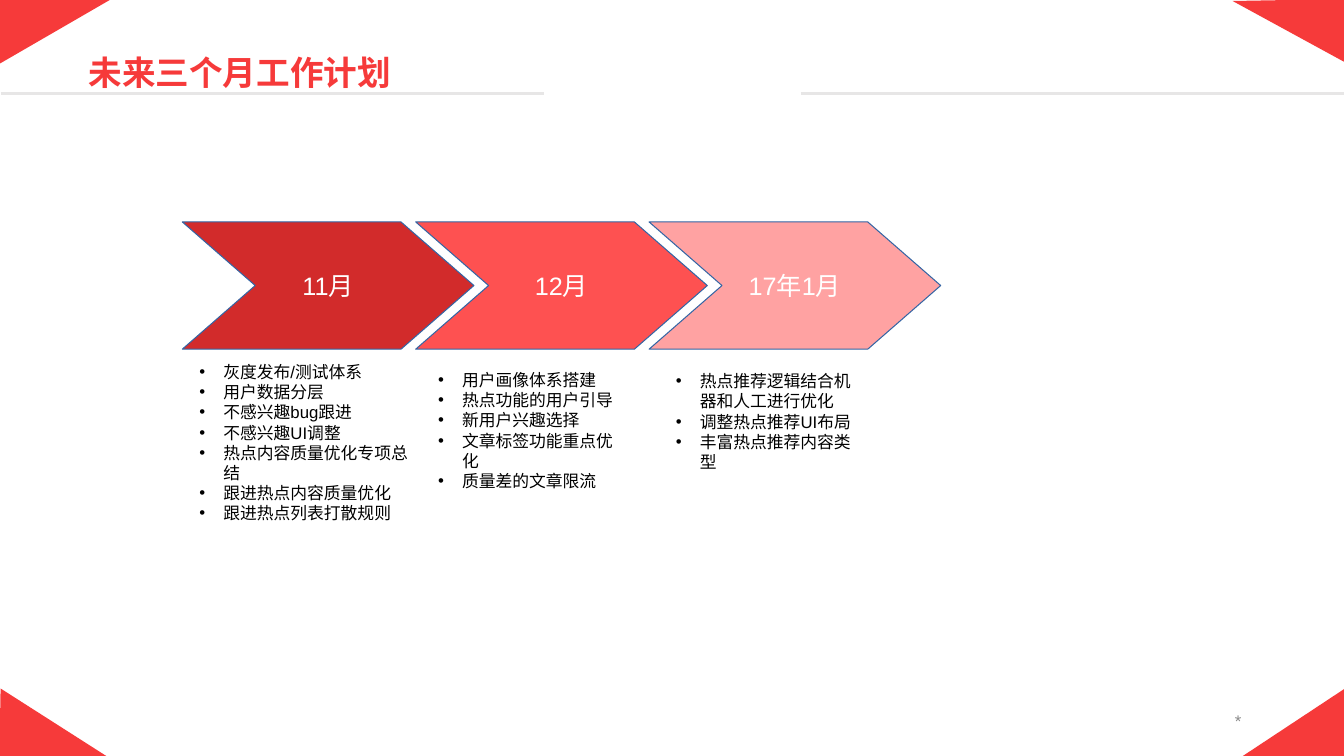
from pptx import Presentation
from pptx.dml.color import RGBColor as RGB
from pptx.enum.shapes import MSO_CONNECTOR as Conn, MSO_SHAPE as Form
from pptx.enum.text import MSO_ANCHOR as Anchor, PP_ALIGN as Align
from pptx.oxml.ns import qn
from pptx.util import Pt
from lxml.etree import SubElement as Sub

# Content
TITLE = "未来三个月工作计划"
MARK = "*"
# Month, arrow colour, box (left, top, width, height), tasks
MONTHS = [
    ("11月", "dark", (135.4, 254.9, 164.9, 108), [
        "灰度发布/测试体系", "用户数据分层", "不感兴趣bug跟进",
        "不感兴趣UI调整", "热点内容质量优化专项总结",
        "跟进热点内容质量优化", "跟进热点列表打散规则"]),
    ("12月", "mid", (306, 260.6, 142.6, 79.2), [
        "用户画像体系搭建", "热点功能的用户引导", "新用户兴趣选择",
        "文章标签功能重点优化", "质量差的文章限流"]),
    ("17年1月", "pale", (475.9, 261.4, 142.6, 79.2), [
        "热点推荐逻辑结合机器和人工进行优化", "调整热点推荐UI布局",
        "丰富热点推荐内容类型"]),
]
# Corner triangles: left, top, width, height, turn, flip
CORNERS = [
    (0, 492.5, 78.5, 48.2, 1, None),
    (0, 0, 78.5, 45.4, 0, "flipV"),
    (887, 491.8, 74.2, 49, 0, "flipH"),
    (881.3, 0, 79.9, 45.4, 179, None),
]
RULES = [(0.7, 388.8), (572.4, 960.5)]
RULE_Y = 66.6


class Theme:
    red, dark, mid, pale = "F63A3A", "D22B2B", "FE5151", "FFA2A2"
    edge, rule, grey = "3465A4", "E7E6E6", "898989"
    ink, white = "000000", "FFFFFF"
    latin, han = "Arial", "Noto Sans CJK SC"
    head, label, body = 24, 18, 12


# Arrow row
ARROW_X, ARROW_Y, ARROW_W, ARROW_H = 130.3, 158.5, 208.4, 90.9
STEP, TIP = 166.8, 52.1
INDENT = 17.1

deck = Presentation()
deck.slide_width, deck.slide_height = Pt(960.48), Pt(540)
slide = deck.slides.add_slide(deck.slide_layouts[6])
shapes = slide.shapes


def tint(text):
    return RGB.from_string(text)


def write(para, text, size, color, font=Theme.latin, bold=False):
    run = para.add_run()
    run.text = text
    face = run.font
    face.size, face.bold, face.name = Pt(size), bold, font
    face.color.rgb = tint(color)
    Sub(run._r.get_or_add_rPr(), qn("a:ea")).set("typeface", Theme.han)


def add_form(form, box, fill):
    shape = shapes.add_shape(form, *map(Pt, box))
    shape.shadow.inherit = False
    shape.fill.solid()
    shape.fill.fore_color.rgb = tint(fill)
    shape.line.fill.background()
    return shape


def add_box(box):
    frame = shapes.add_textbox(*map(Pt, box)).text_frame
    frame.word_wrap = True
    return frame


def add_bullet(para):
    props = para._p.get_or_add_pPr()
    props.set("marL", str(Pt(INDENT)))
    props.set("indent", str(-Pt(INDENT)))
    Sub(props, qn("a:buFont")).set("typeface", Theme.latin)
    Sub(props, qn("a:buChar")).set("char", "•")


# Header rules
for start, end in RULES:
    line = shapes.add_connector(
        Conn.STRAIGHT, Pt(start), Pt(RULE_Y), Pt(end), Pt(RULE_Y))
    line.line.color.rgb = tint(Theme.rule)
    line.line.width = Pt(2.25)
    Sub(line._element.spPr, qn("a:effectLst"))

# Corners
for *box, turn, flip in CORNERS:
    corner = add_form(Form.RIGHT_TRIANGLE, box, Theme.red)
    corner.rotation = turn
    if flip:
        corner._element.spPr.xfrm.set(flip, "1")

# Title and page mark
head = add_box((56.2, 33.8, 363.6, 36))
write(head.paragraphs[0], TITLE, Theme.head, Theme.red, Theme.han, True)
mark = add_box((678.2, 500.4, 216, 28.8))
mark.vertical_anchor = Anchor.MIDDLE
mark.paragraphs[0].alignment = Align.RIGHT
write(mark.paragraphs[0], MARK, Theme.body, Theme.grey)

# Month arrows with their tasks
for i, (month, shade, box, tasks) in enumerate(MONTHS):
    place = (ARROW_X + i * STEP, ARROW_Y, ARROW_W, ARROW_H)
    arrow = add_form(Form.CHEVRON, place, getattr(Theme, shade))
    arrow.adjustments[0] = TIP / ARROW_H
    arrow.line.color.rgb = tint(Theme.edge)
    arrow.line.width = Pt(0.75)
    frame = arrow.text_frame
    frame.word_wrap = False
    frame.vertical_anchor = Anchor.MIDDLE
    frame.paragraphs[0].alignment = Align.CENTER
    write(frame.paragraphs[0], month, Theme.label, Theme.white)

    notes = add_box(box)
    for j, task in enumerate(tasks):
        para = notes.add_paragraph() if j else notes.paragraphs[0]
        add_bullet(para)
        write(para, task, Theme.body, Theme.ink)

deck.save("out.pptx")
